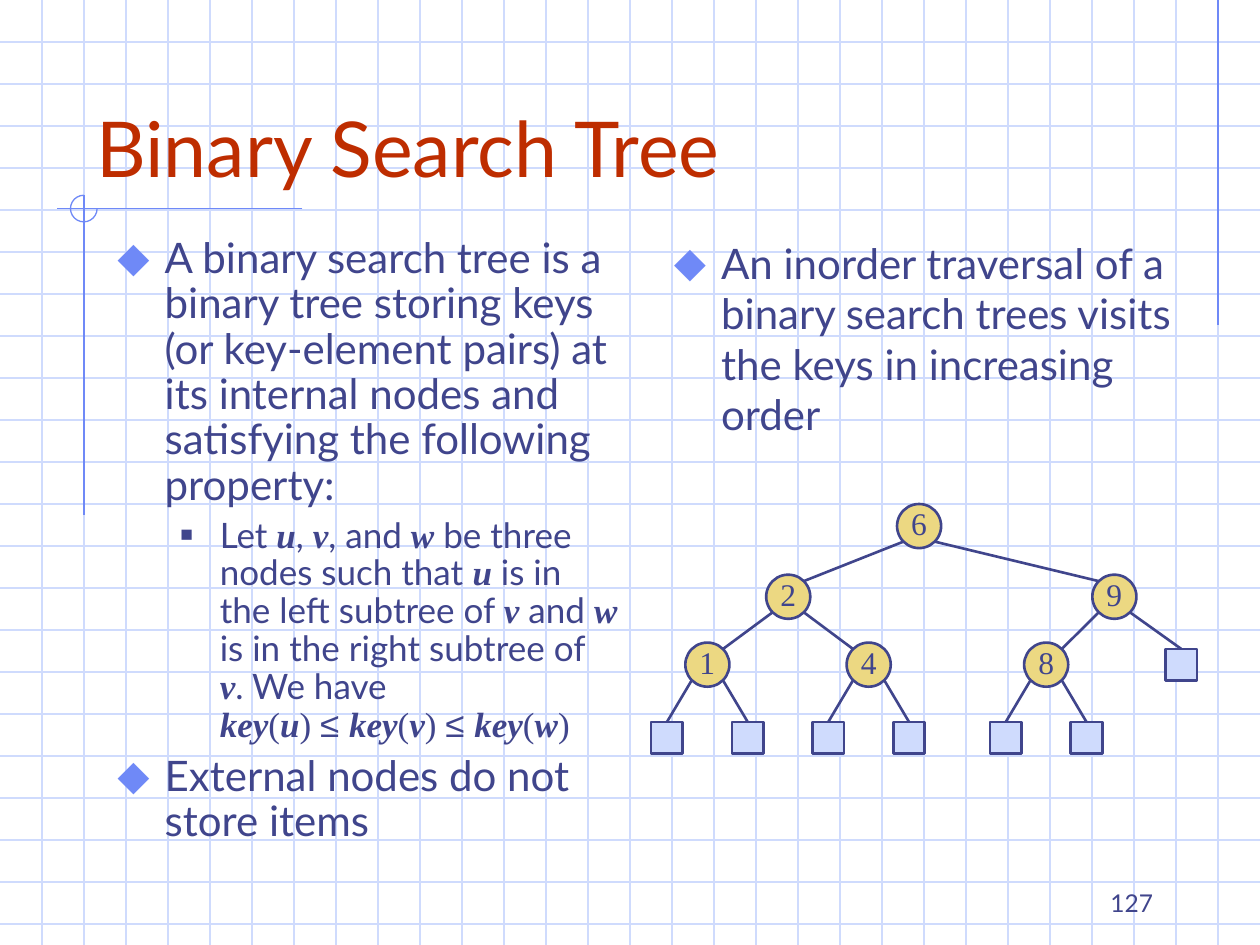
from pptx import Presentation
from pptx.util import Pt
from pptx.dml.color import RGBColor
from pptx.enum.shapes import MSO_CONNECTOR, MSO_SHAPE
from pptx.enum.text import MSO_ANCHOR, PP_ALIGN
from lxml.etree import SubElement
from pptx.oxml.ns import qn

INK, BLUE, PALE, GOLD, RED = "40458C", "6F89F7", "CFDBFD", "ECD882", "BE2D00"
SANS, SERIF, MATH = "Lato", "Times New Roman", "Arial"
color = RGBColor.from_string

show = Presentation()
show.slide_width, show.slide_height = Pt(720), Pt(540)
slide = show.slides.add_slide(show.slide_layouts[6])
shapes = slide.shapes


def draw_line(x1, y1, x2, y2, tint, width=0.75):
    line = shapes.add_connector(MSO_CONNECTOR.STRAIGHT, Pt(x1), Pt(y1), Pt(x2), Pt(y2))
    line.line.color.rgb = color(tint)
    line.line.width = Pt(width)
    SubElement(line._element.spPr, qn("a:effectLst"))
    return line


def add_text(box, paras):
    """Each paragraph: (size, tint, bullet or None, runs); a run: (text, font, bold italic)."""
    frame = box.text_frame
    frame.word_wrap = True
    for i, (size, tint, mark, runs) in enumerate(paras):
        para = frame.paragraphs[0] if i == 0 else frame.add_paragraph()
        if mark:
            sign, hue, scale, left, hang, gap = mark
            props = para._p.get_or_add_pPr()
            props.set("marL", str(Pt(left)))
            props.set("indent", str(-Pt(hang)))
            if i:
                para.space_before = Pt(gap)
            tone = SubElement(props, qn("a:buClr"))
            SubElement(tone, qn("a:srgbClr")).set("val", hue)
            SubElement(props, qn("a:buSzPct")).set("val", str(scale * 1000))
            SubElement(props, qn("a:buFont")).set("typeface", MATH)
            SubElement(props, qn("a:buChar")).set("char", sign)
        for words, face, strong in runs:
            if words == "\n":
                para.add_line_break()
                continue
            run = para.add_run()
            run.text = words
            font = run.font
            font.name, font.size, font.color.rgb = face, Pt(size), color(tint)
            font.bold = font.italic = strong
    return frame


# Grid paper
for i in range(1, 23):
    draw_line(0, 24 * i, 720, 24 * i, PALE)
for i in range(1, 30):
    draw_line(24 * i, 0, 24 * i, 540, PALE)

# Accent lines and open circle
draw_line(696, 0, 696, 186, BLUE)
draw_line(172.8, 119.3, 32.4, 119.3, BLUE)
draw_line(48, 111.6, 48, 294.5, BLUE)
arc = shapes.add_shape(MSO_SHAPE.ARC, Pt(40.3), Pt(111.6), Pt(15.2), Pt(15.2))
arc.adjustments[0], arc.adjustments[1] = 0, 162  # 0 to 270 degrees
arc.shadow.inherit = False
arc.fill.background()
arc.line.color.rgb = color(BLUE)
arc.line.width = Pt(0.75)

# Title
title = shapes.add_textbox(Pt(48), Pt(24), Pt(612), Pt(90))
frame = add_text(title, [(44, RED, None, [("Binary Search Tree", SANS, False)])])
frame.vertical_anchor = MSO_ANCHOR.BOTTOM

# Body text: in the rule, * sets off variables and ≤ stands in its own font
main = ("⬥", BLUE, 110, 27, 27, 6)
sub = ("■", INK, 60, 58.5, 22.5, 5)
prose = ("Let *u*, *v*, and *w* be three nodes such that *u* is in the left subtree of "
         "*v* and *w* is in the right subtree of *v*. We have ")
rule = [(part, SERIF if i % 2 else SANS, i % 2 == 1)
        for i, part in enumerate(prose.split("*"))]
rule.append(("\n", SANS, False))
for i, name in enumerate("uvw"):
    if i:
        rule += [(" ", SERIF, False), ("≤ ", MATH, False)]
    rule += [("key", SERIF, True), ("(", SERIF, False), (name, SERIF, True), (")", SERIF, False)]

left = shapes.add_textbox(Pt(60), Pt(132), Pt(300), Pt(360))
frame = add_text(left, [
    (24, INK, main, [("A binary search tree is a binary tree storing keys (or key-element "
                      "pairs) at its internal nodes and satisfying the following property:",
                      SANS, False)]),
    (20, INK, sub, rule),
    (24, INK, main, [("External nodes do not store items", SANS, False)]),
])
for para in frame.paragraphs:
    para.line_spacing = 0.9

right = shapes.add_textbox(Pt(378), Pt(132), Pt(300), Pt(126))
add_text(right, [(24, INK, main, [("An inorder traversal of a binary search trees visits "
                                   "the keys in increasing order", SANS, False)])])

# Tree: centres of the inner nodes, then of the leaves by parent
nodes = {"6": (525.2, 300.6), "2": (450.4, 341), "9": (636.8, 341),
         "1": (404.2, 379.8), "4": (496.4, 379.8), "8": (597.8, 379.8)}
links = ["62", "69", "21", "24", "98"]
leaves = [("9", 675, 379.8)]
for key in "148":
    leaves += [(key, nodes[key][0] + side * 23.1, 421.6) for side in (-1, 1)]
size, leaf, reach = 25.2, 18, 8.9  # reach: centre to rim along a diagonal

# Inner nodes
for key, (x, y) in nodes.items():
    node = shapes.add_shape(MSO_SHAPE.OVAL, Pt(x - size / 2), Pt(y - size / 2), Pt(size), Pt(size))
    node.shadow.inherit = False
    node.fill.solid()
    node.fill.fore_color.rgb = color(GOLD)
    node.line.color.rgb = color(INK)
    node.line.width = Pt(1.5)
    frame = add_text(node, [(18, INK, None, [(key, SERIF, False)])])
    frame.word_wrap = False
    frame.margin_left = frame.margin_right = frame.margin_top = 0
    frame.margin_bottom = Pt(3.6)
    frame.vertical_anchor = MSO_ANCHOR.MIDDLE
    frame.paragraphs[0].alignment = PP_ALIGN.CENTER

# Edges between inner nodes
for top, low in links:
    (x1, y1), (x2, y2) = nodes[top], nodes[low]
    step = reach if x2 > x1 else -reach
    draw_line(x1 + step, y1 + reach, x2 - step, y2 - reach, INK, 1.5)

# Leaves with their edges
for top, x, y in leaves:
    box = shapes.add_shape(MSO_SHAPE.RECTANGLE, Pt(x - leaf / 2), Pt(y - leaf / 2), Pt(leaf), Pt(leaf))
    box.shadow.inherit = False
    box.fill.solid()
    box.fill.fore_color.rgb = color(PALE)
    box.line.color.rgb = color(INK)
    box.line.width = Pt(1.5)
    x1, y1 = nodes[top]
    step = reach if x > x1 else -reach
    edge = draw_line(x1 + step, y1 + reach, x, y - leaf / 2, INK, 1.5)
    edge.end_connect(box, 0)

# Page number
page = shapes.add_textbox(Pt(516), Pt(492), Pt(150), Pt(36))
frame = add_text(page, [(14, INK, None, [("127", SANS, False)])])
frame.vertical_anchor = MSO_ANCHOR.BOTTOM
frame.paragraphs[0].alignment = PP_ALIGN.RIGHT

show.save("out.pptx")
